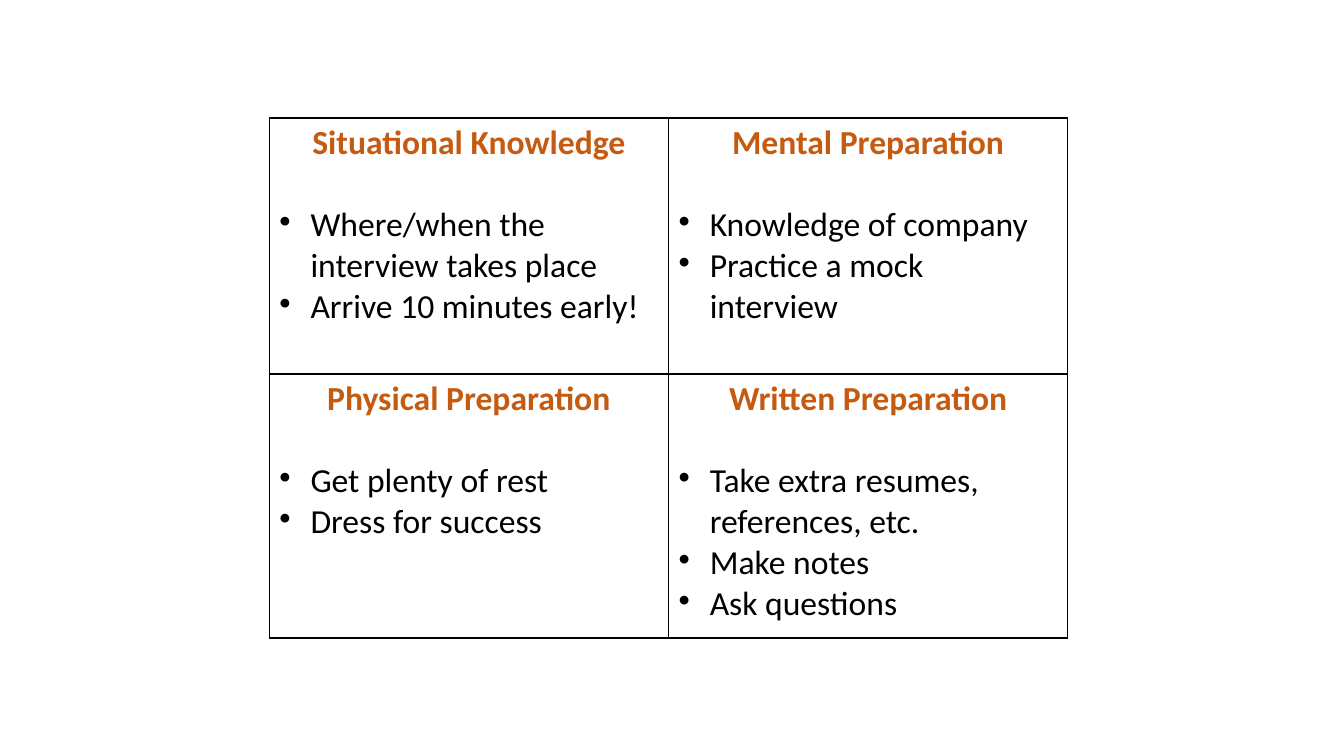
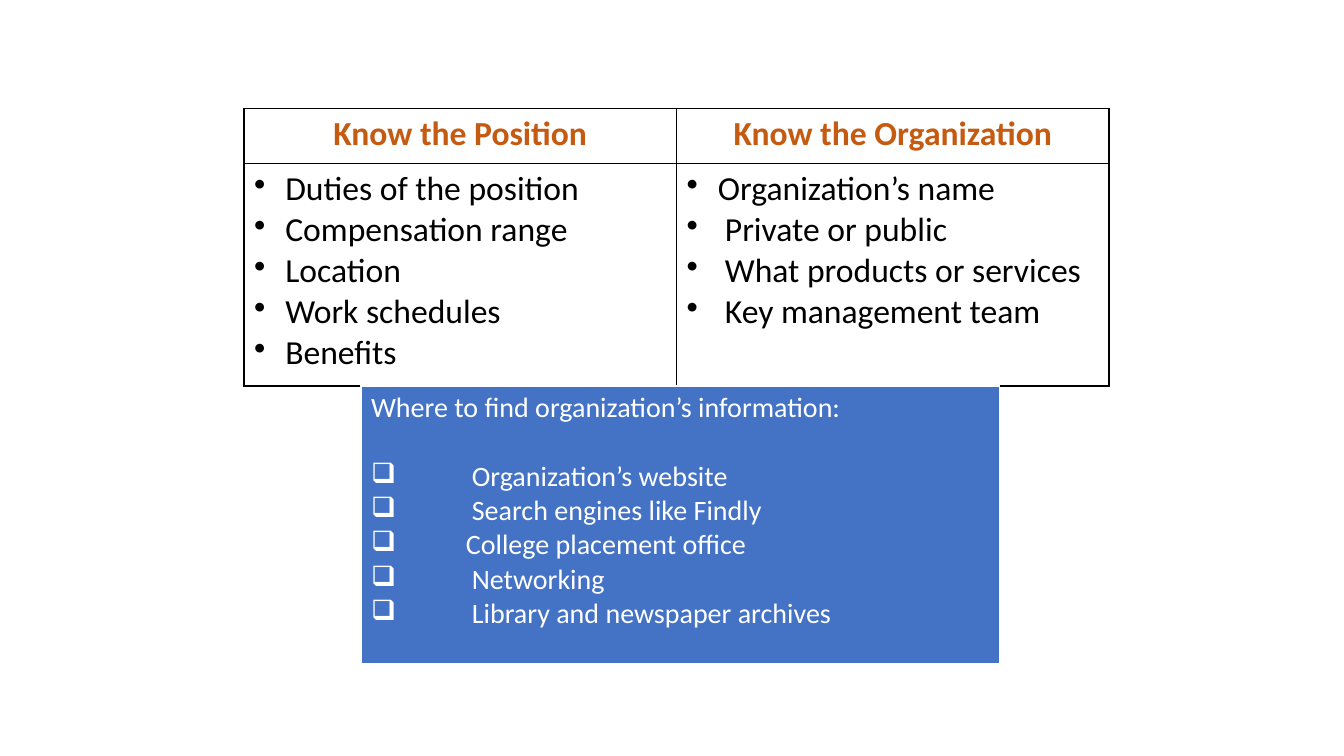
import pptx
import pptx.util
import pptx.dml.color
import pptx.enum.text
import pptx.oxml
import pptx.oxml.ns

Inches = pptx.util.Inches
Pt = pptx.util.Pt

FONT = "Calibri"
INK, ACCENT, PANEL, WHITE = "000000", "C55A11", "4472C4", "FFFFFF"
HANG = 0.31
SHIFT = 0.38
NS = pptx.oxml.ns.nsdecls("a")

QUADS = [
    [("Situational Knowledge",
      ["Where/when the interview takes place", "Arrive 10 minutes early!"]),
     ("Mental Preparation",
      ["Knowledge of company", "Practice a mock interview"])],
    [("Physical Preparation",
      ["Get plenty of rest", "Dress for success"]),
     ("Written Preparation",
      ["Take extra resumes, references, etc.", "Make notes", "Ask questions"])],
]
TOPICS = [
    ("Know the Position",
     [("Duties of the position", HANG), ("Compensation range", HANG),
      ("Location", HANG), ("Work schedules", HANG), ("Benefits", HANG)]),
    ("Know the Organization",
     [("Organization’s name", HANG), ("Private or public", SHIFT),
      ("What products or services", SHIFT), ("Key management team", SHIFT)]),
]
SOURCES = [
    ("Organization’s website", 1), ("Search engines like Findly", 1),
    ("College placement office", 0.94), ("Networking", 1),
    ("Library and newspaper archives", 1),
]


def color(code):
    return pptx.dml.color.RGBColor.from_string(code)


def write(cell, text, size=24, tint=INK, bold=False, center=False,
          bullet=None, hang=HANG, before=0):
    """Add one paragraph to a cell, using its empty first one if there is one."""
    frame = cell.text_frame
    para = frame.paragraphs[0]
    if para.runs:
        para = frame.add_paragraph()
    if bullet:
        props = para._p.get_or_add_pPr()
        props.set("marL", str(Inches(hang)))
        props.set("indent", str(-Inches(hang)))
        props.append(pptx.oxml.parse_xml(f'<a:buChar {NS} char="{bullet}"/>'))
    if before:
        para.space_before = Pt(before)
    if center:
        para.alignment = pptx.enum.text.PP_ALIGN.CENTER
    run = para.add_run()
    run.text = text
    run.font.name = FONT
    run.font.size = Pt(size)
    run.font.bold = bold
    run.font.color.rgb = color(tint)


def head(cell, text):
    write(cell, text, tint=ACCENT, bold=True, center=True)


def border(cell, tint, widths):
    """Draw the left, right, top and bottom edges of a cell."""
    props = cell._tc.get_or_add_tcPr()
    for spot, (side, width) in enumerate(zip("LRTB", widths)):
        props.insert(spot, pptx.oxml.parse_xml(
            f'<a:ln{side} {NS} w="{Pt(width)}"><a:solidFill>'
            f'<a:srgbClr val="{tint}"/></a:solidFill></a:ln{side}>'))


def grid(slide, left, top, width, rows, count, fill=None, line=INK,
         widths=(1, 1, 1, 1)):
    """Add a table of equal columns; rows lists the row heights."""
    table = slide.shapes.add_table(
        len(rows), count, Inches(left), Inches(top),
        Inches(width), Inches(sum(rows))).table
    table.first_row = False
    table.horz_banding = False
    for row, height in zip(table.rows, rows):
        row.height = Inches(height)
    for cell in table.iter_cells():
        if fill:
            cell.fill.solid()
            cell.fill.fore_color.rgb = color(fill)
        else:
            cell.fill.background()
        border(cell, line, widths)
    return table


def quads(slide, left, top, width):
    table = grid(slide, left, top, width, [2.54, 2.62], 2)
    for r, line in enumerate(QUADS):
        for c, (title, items) in enumerate(line):
            cell = table.cell(r, c)
            head(cell, title)
            for n, item in enumerate(items):
                write(cell, item, bullet="•", before=0 if n else 29.3)


def topics(slide, left, top, width):
    table = grid(slide, left, top, width, [0.54, 2.21], 2)
    for c, (title, items) in enumerate(TOPICS):
        head(table.cell(0, c), title)
        for item, hang in items:
            write(table.cell(1, c), item, bullet="•", hang=hang)


def sources(slide, left, top, width):
    table = grid(slide, left, top, width, [2.77], 1, fill=PANEL, line=WHITE,
                 widths=(1, 1, 1, 3))
    cell = table.cell(0, 0)
    write(cell, "Where to find organization’s information:", size=20, tint=WHITE)
    for n, (item, hang) in enumerate(SOURCES):
        write(cell, item, size=20, tint=WHITE, bullet="❑", hang=hang,
              before=0 if n else 24.4)


def main():
    deck = pptx.Presentation()
    deck.slide_width = Inches(13.33)
    deck.slide_height = Inches(7.5)
    blank = deck.slide_layouts[6]
    quads(deck.slides.add_slide(blank), 2.67, 1.17, 7.92)
    know = deck.slides.add_slide(blank)
    topics(know, 2.42, 1.08, 8.58)
    sources(know, 3.58, 3.83, 6.33)
    deck.save("out.pptx")


if __name__ == "__main__":
    main()
